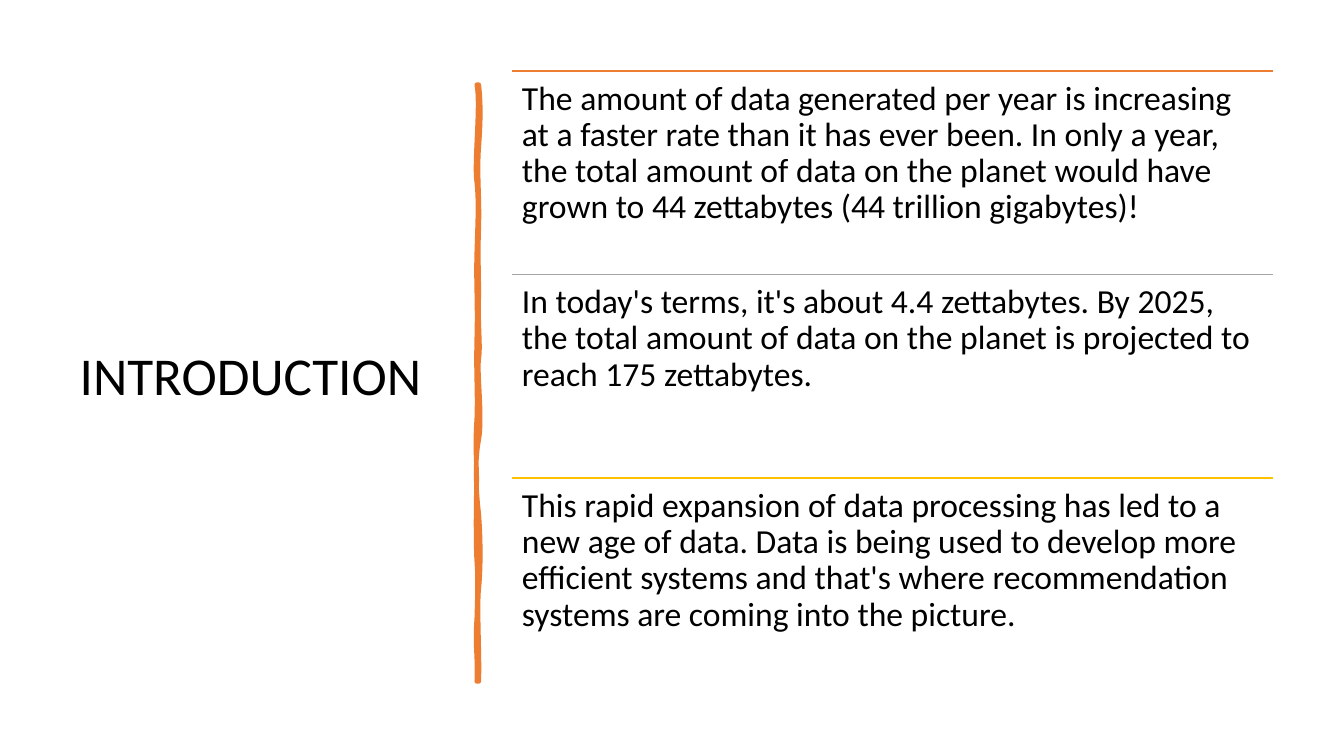
"""Build the introduction slide: a title, a hand-drawn divider and three ruled statements."""
from lxml import etree
from pptx import Presentation
from pptx.dml.color import RGBColor
from pptx.enum.shapes import MSO_CONNECTOR
from pptx.enum.text import MSO_ANCHOR, MSO_AUTO_SIZE, PP_ALIGN
from pptx.oxml.ns import qn
from pptx.util import Inches, Pt

ORANGE = RGBColor(0xED, 0x7D, 0x31)
GRAY = RGBColor(0xA5, 0xA5, 0xA5)
GOLD = RGBColor(0xFF, 0xC0, 0x00)
BLACK = RGBColor(0, 0, 0)

TITLE = "INTRODUCTION"
STATEMENTS = [
    (ORANGE, "The amount of data generated per year is increasing at a faster rate than it has "
             "ever been. In only a year, the total amount of data on the planet would have grown "
             "to 44 zettabytes (44 trillion gigabytes)!"),
    (GRAY, "In today's terms, it's about 4.4 zettabytes. By 2025, the total amount of data on "
           "the planet is projected to reach 175 zettabytes."),
    (GOLD, "This rapid expansion of data processing has led to a new age of data. Data is being "
           "used to develop more efficient systems and that's where recommendation systems are "
           "coming into the picture."),
]

SLIDE_W, SLIDE_H = 40 / 3, 7.5
TITLE_BOX = (0.69, 0.7, 3.74, 6.11)
LEFT, TOP, WIDTH, ROW_H = 5.08, SLIDE_H * 3 / 32, 7.55, 2.02

DIVIDER_START = (4.75, 0.84)
DIVIDER_CURVES = [
    ((4.77, 1.02), (4.77, 1.19), (4.75, 1.46)),
    ((4.73, 1.73), (4.76, 1.95), (4.75, 2.26)),
    ((4.74, 2.57), (4.75, 2.62), (4.75, 2.94)),
    ((4.74, 3.25), (4.77, 3.42), (4.75, 3.56)),
    ((4.73, 3.7), (4.79, 4.14), (4.75, 4.36)),
    ((4.71, 4.57), (4.72, 4.84), (4.75, 5.1)),
    ((4.77, 5.36), (4.77, 5.64), (4.75, 5.84)),
    ((4.73, 6.03), (4.76, 6.5), (4.75, 6.76)),
    ((4.74, 6.76), (4.73, 6.76), (4.73, 6.76)),
    ((4.74, 6.46), (4.71, 6.44), (4.73, 6.13)),
    ((4.74, 5.83), (4.74, 5.7), (4.73, 5.57)),
    ((4.72, 5.44), (4.72, 4.95), (4.73, 4.77)),
    ((4.73, 4.59), (4.71, 4.45), (4.73, 4.15)),
    ((4.74, 3.86), (4.72, 3.73), (4.73, 3.35)),
    ((4.74, 2.98), (4.72, 2.81), (4.73, 2.5)),
    ((4.74, 2.18), (4.75, 2), (4.73, 1.81)),
    ((4.7, 1.63), (4.77, 1.04), (4.73, 0.84)),
    ((4.74, 0.84), (4.74, 0.84), (4.75, 0.84)),
]


def write(tf, text, size):
    """Put one left-aligned paragraph in a text frame."""
    tf.text = text
    tf.word_wrap = True
    tf.auto_size = MSO_AUTO_SIZE.NONE
    p = tf.paragraphs[0]
    p.alignment = PP_ALIGN.LEFT
    p.line_spacing = 0.9
    font = p.runs[0].font
    font.name, font.size, font.color.rgb = "Calibri", Pt(size), BLACK


def bend(sp, curves):
    """Turn each straight segment of a freeform into its cubic curve."""
    segments = list(sp._element.iter(qn("a:lnTo")))
    for segment, (c1, c2, _) in zip(segments, curves):
        segment.tag = qn("a:cubicBezTo")
        for i, (x, y) in enumerate((c1, c2)):
            pt = etree.Element(qn("a:pt"), x=str(Inches(x) - sp.left), y=str(Inches(y) - sp.top))
            segment.insert(i, pt)


def add_divider(slide):
    """Draw the uneven vertical stroke."""
    builder = slide.shapes.build_freeform(*map(Inches, DIVIDER_START))
    builder.add_line_segments(
        [tuple(map(Inches, end)) for _, _, end in DIVIDER_CURVES], close=True)
    sp = builder.convert_to_shape()
    bend(sp, DIVIDER_CURVES)
    sp.shadow.inherit = False
    sp.fill.solid()
    sp.fill.fore_color.rgb = ORANGE
    sp.line.color.rgb = ORANGE
    sp.line.width = Pt(3.25)
    etree.SubElement(sp._element.spPr.find(qn("a:ln")), qn("a:round"))


def add_statement(slide, row, color, text):
    """Draw a rule with its statement below."""
    x, y, w, h = map(Inches, (LEFT, TOP + row * ROW_H, WIDTH, ROW_H))
    rule = slide.shapes.add_connector(MSO_CONNECTOR.STRAIGHT, x, y, x + w, y)
    rule.line.color.rgb = color
    rule.line.width = Pt(1)
    etree.SubElement(rule._element.spPr, qn("a:effectLst"))
    tf = slide.shapes.add_textbox(x, y, w, h).text_frame
    tf.margin_left = tf.margin_right = tf.margin_top = tf.margin_bottom = Inches(0.1)
    write(tf, text, 24)


def main():
    """Build and save the slide."""
    prs = Presentation()
    prs.slide_width, prs.slide_height = Inches(SLIDE_W), Inches(SLIDE_H)
    slide = prs.slides.add_slide(prs.slide_layouts[5])
    title = slide.shapes.title
    title.left, title.top, title.width, title.height = map(Inches, TITLE_BOX)
    write(title.text_frame, TITLE, 38)
    title.text_frame.vertical_anchor = MSO_ANCHOR.MIDDLE
    add_divider(slide)
    for row, (color, text) in enumerate(STATEMENTS):
        add_statement(slide, row, color, text)
    prs.save("out.pptx")


if __name__ == "__main__":
    main()
